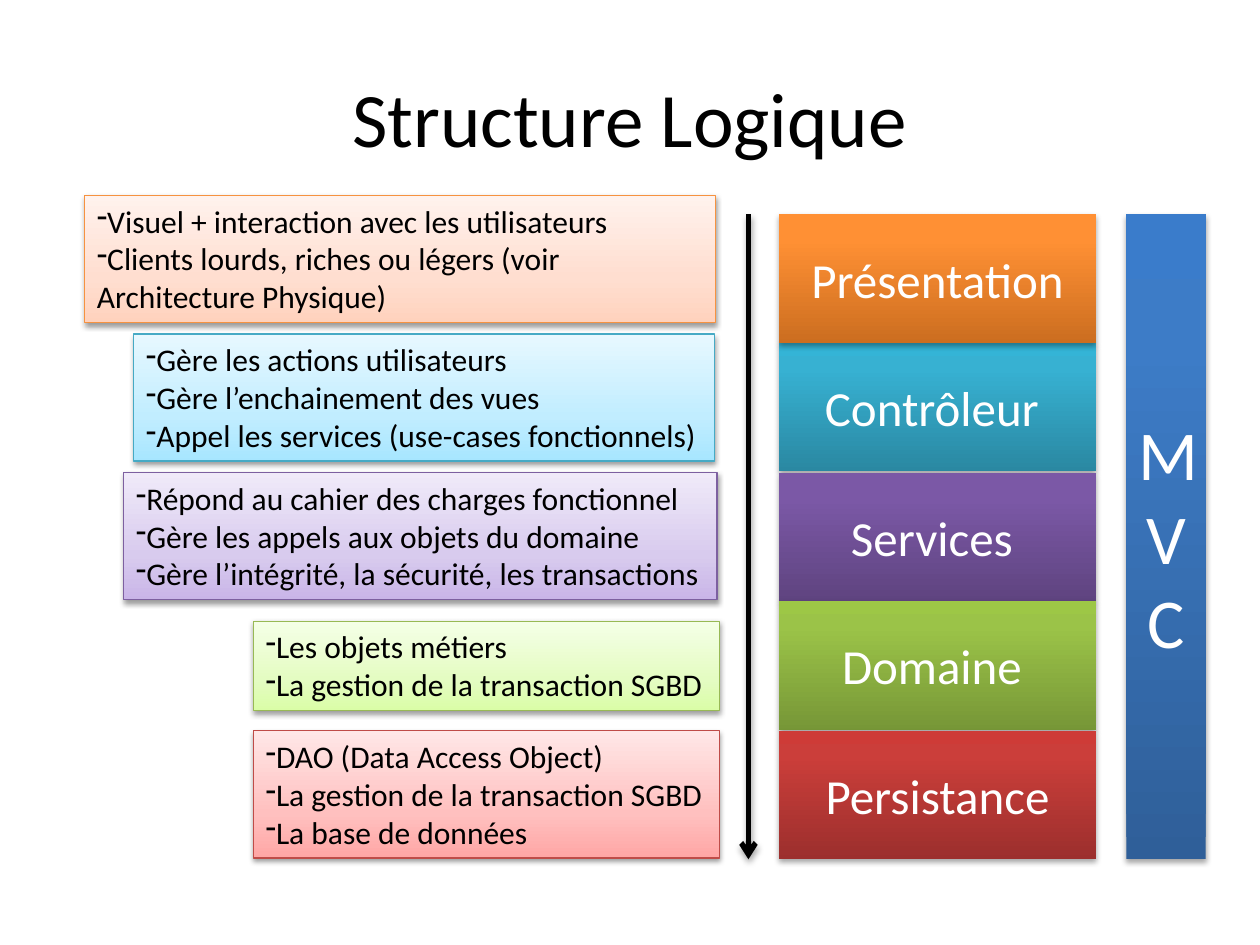
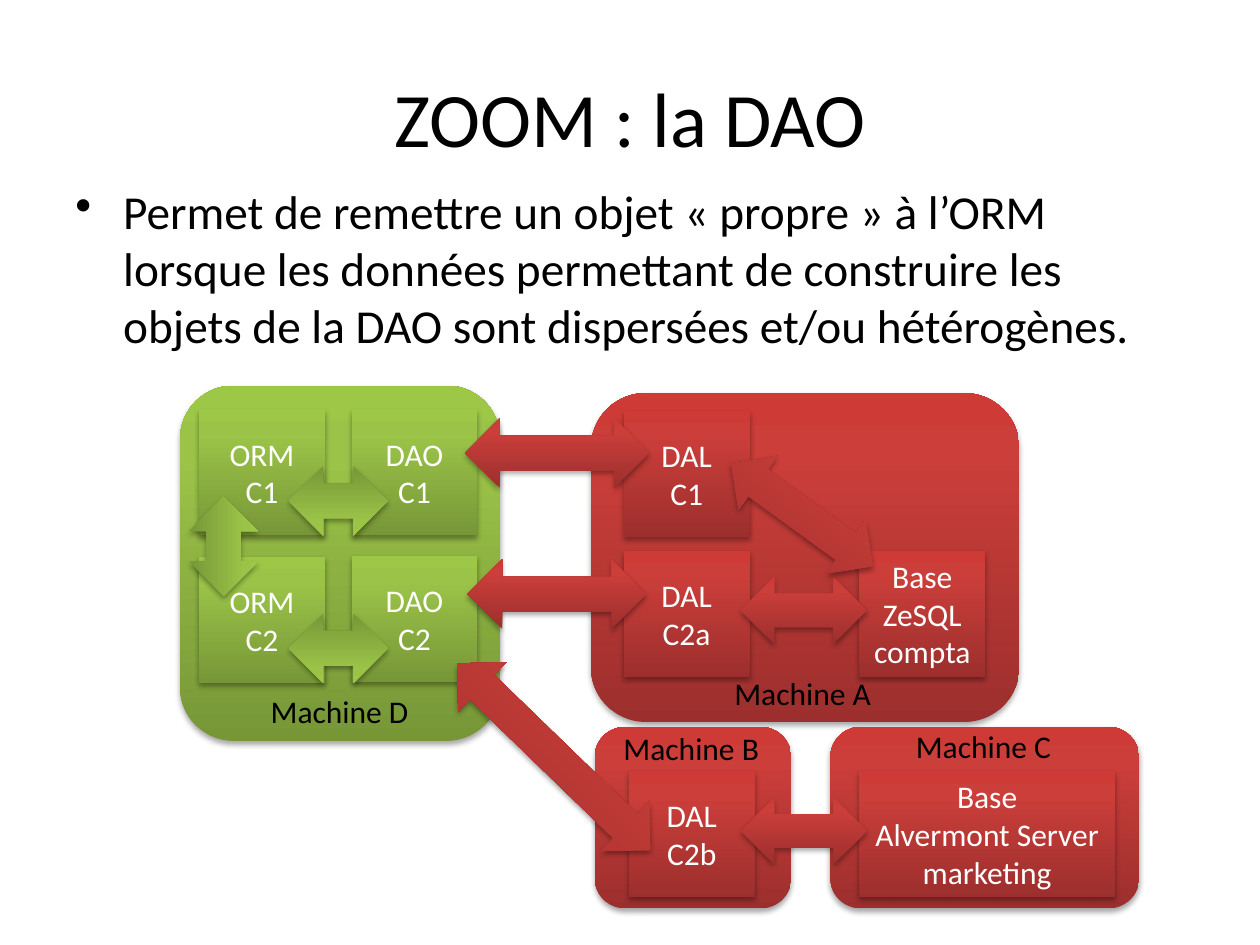
from copy import deepcopy
from dataclasses import dataclass
from typing import Any, NamedTuple

from lxml import etree
from pptx import Presentation
from pptx import util as u
from pptx.dml.color import RGBColor
from pptx.enum import shapes, text
from pptx.oxml.ns import qn

EMU_PER_PX = 9144
RECT = shapes.MSO_SHAPE.RECTANGLE
ROUND = shapes.MSO_SHAPE.ROUNDED_RECTANGLE
ARROW = shapes.MSO_SHAPE.LEFT_RIGHT_ARROW
LEFT, CENTER = text.PP_ALIGN.LEFT, text.PP_ALIGN.CENTER
TOP, MIDDLE = text.MSO_ANCHOR.TOP, text.MSO_ANCHOR.MIDDLE


class Gradient(NamedTuple):
    bottom: str
    middle: str
    top: str
    middle_at: float = 0.8


class Shadow(NamedTuple):
    blur: int
    distance: int
    opacity: int


class Bullet(NamedTuple):
    char: str
    indent: int = 0


class Box(NamedTuple):
    left: int
    top: int
    width: int
    height: int


@dataclass(frozen=True)
class Theme:
    font: str = "Calibri"
    dark: str = "000000"
    light: str = "FFFFFF"
    title: float = 44
    body: float = 27
    layer: float = 28
    mvc: float = 40
    small: float = 18
    orange: Gradient = Gradient("CC6E20", "FF9034", "FF9136")
    teal: Gradient = Gradient("2A88A2", "37B1D2", "34B4D6")
    purple: Gradient = Gradient("5F4480", "7B58A6", "7C57A8")
    green: Gradient = Gradient("779737", "9BC348", "9DC746")
    red: Gradient = Gradient("9C2F2D", "CB3E3A", "CE3B37")
    blue: Gradient = Gradient("2F5F99", "3D7CC7", "3A7CCB")
    pale_orange: Gradient = Gradient("FFD2BD", "FFDED0", "FFF2ED", 0.35)
    pale_teal: Gradient = Gradient("A7E6FF", "C1EDFF", "E7F8FF", 0.35)
    pale_purple: Gradient = Gradient("C9B5E8", "D8CBEE", "F0EAF9", 0.35)
    pale_green: Gradient = Gradient("DAFDA7", "E4FCC2", "F5FFE7", 0.35)
    pale_red: Gradient = Gradient("FFA6A5", "FFC0BF", "FFE7E7", 0.35)
    solid_shadow: Shadow = Shadow(40000, 23000, 35)
    note_shadow: Shadow = Shadow(40000, 20000, 38)


T = Theme()


class Layer(NamedTuple):
    name: str
    fill: Gradient


class Note(NamedTuple):
    box: Box
    fill: Gradient
    edge: str
    lines: list[str]
    wrap: bool


class Machine(NamedTuple):
    box: Box
    fill: Gradient
    name: str
    label: Box


class Component(NamedTuple):
    box: Box
    fill: Gradient
    lines: list[str]


class Link(NamedTuple):
    box: Box
    fill: Gradient
    angle: float = 0


LAYERS = [
    Layer("Présentation", T.orange),
    Layer("Contrôleur ", T.teal),
    Layer("Services ", T.purple),
    Layer("Domaine ", T.green),
    Layer("Persistance", T.red),
]
STACK = Box(618, 170, 252, 512)

NOTES = [
    Note(Box(67, 155, 501, 101), T.pale_orange, "F69240",
         ["Visuel + interaction avec les utilisateurs",
          "Clients lourds, riches ou légers (voir Architecture Physique)"], True),
    Note(Box(106, 265, 461, 101), T.pale_teal, "46AAC5",
         ["Gère les actions utilisateurs", "Gère l’enchainement des vues",
          "Appel les services (use-cases fonctionnels)"], True),
    Note(Box(98, 375, 471, 101), T.pale_purple, "7D60A0",
         ["Répond au cahier des charges fonctionnel",
          "Gère les appels aux objets du domaine",
          "Gère l’intégrité, la sécurité, les transactions"], False),
    Note(Box(201, 493, 370, 71), T.pale_green, "98B955",
         ["Les objets métiers", "La gestion de la transaction SGBD"], False),
    Note(Box(201, 580, 370, 101), T.pale_red, "BF4C48",
         ["DAO (Data Access Object)", "La gestion de la transaction SGBD",
          "La base de données"], False),
]

MACHINES = [
    Machine(Box(143, 306, 254, 282), T.green, "Machine D", Box(205, 544, 130, 40)),
    Machine(Box(469, 312, 340, 261), T.red, "Machine A", Box(573, 530, 130, 40)),
    Machine(Box(472, 577, 156, 144), T.red, "Machine B", Box(485, 574, 130, 40)),
    Machine(Box(659, 577, 245, 144), T.red, "Machine C", Box(717, 572, 130, 40)),
]

COMPONENTS = [
    Component(Box(158, 325, 100, 100), T.green, ["ORM C1"]),
    Component(Box(158, 442, 100, 100), T.green, ["ORM", "C2"]),
    Component(Box(279, 325, 100, 100), T.green, ["DAO", "C1"]),
    Component(Box(279, 441, 100, 100), T.green, ["DAO", "C2"]),
    Component(Box(495, 326, 100, 100), T.red, ["DAL", "C1"]),
    Component(Box(495, 437, 100, 100), T.red, ["DAL", "C2a"]),
    Component(Box(499, 612, 100, 100), T.red, ["DAL", "C2b"]),
    Component(Box(682, 437, 100, 100), T.red, ["Base", "ZeSQL", "compta"]),
    Component(Box(682, 612, 203, 100), T.red,
              ["Base", "Alvermont Server", "marketing"]),
]

LINKS = [
    Link(Box(588, 458, 100, 53), T.red),
    Link(Box(588, 633, 100, 53), T.red),
    Link(Box(567, 382, 139, 53), T.red, 36),
    Link(Box(371, 444, 142, 55), T.red),
    Link(Box(369, 332, 146, 55), T.red),
    Link(Box(333, 573, 213, 55), T.red, 44.1),
    Link(Box(138, 406, 79, 55), T.green, 90),
    Link(Box(229, 370, 79, 55), T.green, 180),
    Link(Box(229, 487, 79, 55), T.green, 180),
]


def px(n: int) -> int:
    return n * EMU_PER_PX


def emu(box: Box) -> list[int]:
    return [px(n) for n in box]


def apply(target: Any, **values: Any) -> None:
    for name, value in values.items():
        setattr(target, name, value)


def add_bullet(p: Any, bullet: Bullet) -> None:
    pPr = p._p.get_or_add_pPr()
    pPr.set("marL", str(px(bullet.indent)))
    pPr.set("indent", str(-px(bullet.indent)))
    etree.SubElement(pPr, qn("a:buChar"), char=bullet.char)


def write(sp: Any, lines: list[str], size: float, color: str,
          align: Any = CENTER, anchor: Any = MIDDLE, wrap: bool = True,
          bullet: Bullet | None = None, before: float = 0) -> None:
    tf = sp.text_frame
    apply(tf, word_wrap=wrap, vertical_anchor=anchor)
    for i, line in enumerate(lines):
        p = tf.add_paragraph() if i else tf.paragraphs[0]
        apply(p, alignment=align, space_before=u.Pt(before))
        if bullet:
            add_bullet(p, bullet)
        r = p.add_run()
        r.text = line
        apply(r.font, name=T.font, size=u.Pt(size))
        r.font.color.rgb = RGBColor.from_string(color)


def add_text(s: Any, box: Box, lines: list[str], size: float, **fmt: Any) -> None:
    write(s.shapes.add_textbox(*emu(box)), lines, size, T.dark, **fmt)


def add_shadow(sp: Any, shadow: Shadow) -> None:
    spPr = sp._element.spPr
    effects = spPr.find(qn("a:effectLst"))
    if effects is None:
        effects = etree.SubElement(spPr, qn("a:effectLst"))
    outer = etree.SubElement(
        effects, qn("a:outerShdw"), blurRad=str(shadow.blur),
        dist=str(shadow.distance), dir="5400000", rotWithShape="0")
    color = etree.SubElement(outer, qn("a:srgbClr"), val=T.dark)
    etree.SubElement(color, qn("a:alpha"), val=str(shadow.opacity * 1000))


def paint(sp: Any, gradient: Gradient) -> None:
    sp.fill.gradient()
    sp.fill.gradient_angle = 90
    stops = sp._element.spPr.find(qn("a:gradFill")).find(qn("a:gsLst"))
    stops.append(deepcopy(stops[-1]))
    positions = (0, gradient.middle_at, 1)
    for stop, position, color in zip(sp.fill.gradient_stops, positions, gradient):
        stop.position = position
        stop.color.rgb = RGBColor.from_string(color)


def add_block(s: Any, kind: Any, box: Box, fill: Gradient, edge: str | None = None,
              shadow: Shadow = T.solid_shadow, angle: float = 0) -> Any:
    sp = s.shapes.add_shape(kind, *emu(box))
    sp.rotation = angle
    paint(sp, fill)
    if edge:
        sp.line.color.rgb = RGBColor.from_string(edge)
        sp.line.width = u.Pt(0.75)
    else:
        sp.line.fill.background()
    sp.shadow.inherit = False
    add_shadow(sp, shadow)
    return sp


def add_down_arrow(s: Any, x: int, top: int, bottom: int) -> None:
    sp = s.shapes.add_connector(
        shapes.MSO_CONNECTOR.STRAIGHT, px(x), px(top), px(x), px(bottom))
    sp.line.color.rgb = RGBColor.from_string(T.dark)
    sp.line.width = u.Pt(3)
    etree.SubElement(sp.line._get_or_add_ln(), qn("a:tailEnd"), type="arrow")
    add_shadow(sp, T.solid_shadow)


def add_slide(prs: Any, title: str) -> Any:
    s = prs.slides.add_slide(prs.slide_layouts[6])
    add_text(s, Box(50, 30, 900, 125), [title], T.title)
    return s


def build_structure(prs: Any) -> None:
    s = add_slide(prs, "Structure Logique")
    placed = list(enumerate(LAYERS))
    for i, layer in placed[1:] + placed[:1]:
        top = STACK.top + round(STACK.height * i / len(LAYERS))
        box = STACK._replace(top=top, height=STACK.height // len(LAYERS))
        write(add_block(s, RECT, box, layer.fill), [layer.name], T.layer, T.light)
    for note in NOTES:
        sp = add_block(s, RECT, note.box, note.fill, note.edge, T.note_shadow)
        write(sp, note.lines, T.small, T.dark, align=LEFT, anchor=TOP,
              wrap=note.wrap, bullet=Bullet("-"))
    add_down_arrow(s, 594, STACK.top, STACK.top + STACK.height)
    mvc = add_block(s, RECT, STACK._replace(left=894, width=63), T.blue)
    write(mvc, list("MVC"), T.mvc, T.light)


def build_dao(prs: Any) -> None:
    s = add_slide(prs, "ZOOM : la DAO")
    add_text(s, Box(50, 140, 900, 147),
             ["Permet de remettre un objet « propre » à l’ORM lorsque les données "
              "permettant de construire les objets de la DAO sont dispersées "
              "et/ou hétérogènes."],
             T.body, align=LEFT, anchor=TOP, bullet=Bullet("•", 38), before=5.4)
    for machine in MACHINES:
        add_block(s, ROUND, machine.box, machine.fill)
    for part in COMPONENTS:
        write(add_block(s, RECT, part.box, part.fill), part.lines, T.small, T.light)
    for link in LINKS:
        add_block(s, ARROW, link.box, link.fill, angle=link.angle)
    for machine in MACHINES:
        add_text(s, machine.label, [machine.name], T.small,
                 align=LEFT, anchor=TOP, wrap=False)


def main() -> None:
    prs = Presentation()
    apply(prs, slide_width=px(1000), slide_height=px(750))
    build_structure(prs)
    build_dao(prs)
    prs.save("out.pptx")


if __name__ == "__main__":
    main()
